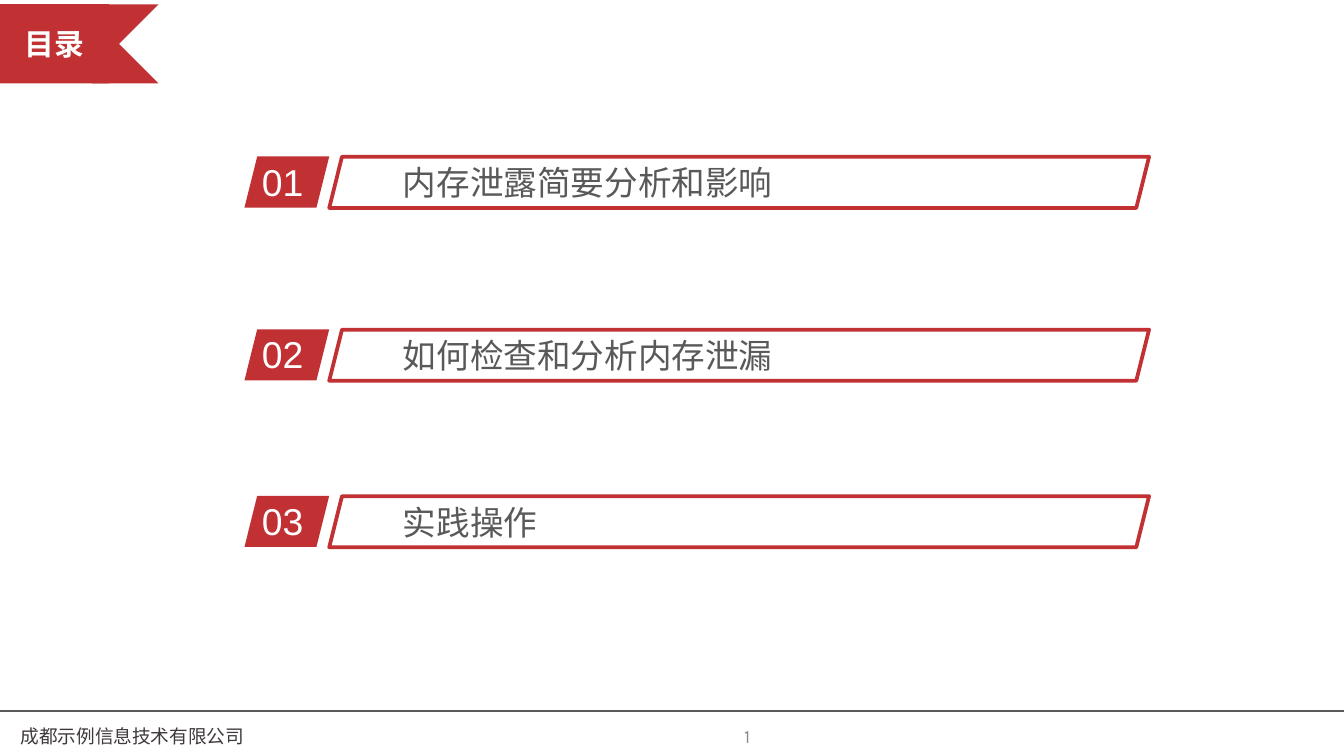
import dataclasses

import lxml.etree
import pptx
import pptx.dml.color
import pptx.enum.shapes
import pptx.enum.text
import pptx.oxml.ns
import pptx.util

Pt = pptx.util.Pt
SHAPE = pptx.enum.shapes.MSO_SHAPE
ALIGN = pptx.enum.text.PP_ALIGN
ANCHOR = pptx.enum.text.MSO_ANCHOR
qn = pptx.oxml.ns.qn


@dataclasses.dataclass(frozen=True)
class Theme:
    red: str = "C13133"
    white: str = "FFFFFF"
    text: str = "595959"
    footer: str = "3E3A39"
    page: str = "8C8C8C"
    rule: str = "595959"
    title_size: float = 16
    item_size: float = 18
    number_size: float = 20
    footer_size: float = 10
    heading_font: str = "Arial"
    body_font: str = "Karla"


class SlideBuilder:
    def __init__(self, slide, theme):
        self.slide = slide
        self.theme = theme

    def color(self, value):
        return pptx.dml.color.RGBColor.from_string(value)

    def shape(self, kind, box, fill, line=None, opacity=None):
        sp = self.slide.shapes.add_shape(kind, *map(Pt, box))
        sp.shadow.inherit = False
        sp.fill.solid()
        sp.fill.fore_color.rgb = self.color(fill)
        if opacity is not None:
            clr = sp._element.spPr.find(qn("a:solidFill"))[0]
            lxml.etree.SubElement(clr, qn("a:alpha")).set("val", str(opacity * 1000))
        if line:
            sp.line.color.rgb = self.color(line)
            sp.line.width = Pt(2)
        else:
            sp.line.fill.background()
        return sp

    def set_text(self, sp, text, size, color, font, align=ALIGN.LEFT,
                 anchor=ANCHOR.MIDDLE, margins=(7.2, 3.6), bold=False, before=0):
        tf = sp.text_frame
        tf.word_wrap = True
        tf.vertical_anchor = anchor
        tf.margin_left = tf.margin_right = Pt(margins[0])
        tf.margin_top = tf.margin_bottom = Pt(margins[1])
        p = tf.paragraphs[0]
        p.text = text
        p.alignment = align
        p.space_before = Pt(before)
        p.font.size = Pt(size)
        p.font.name = font
        p.font.bold = bold
        p.font.color.rgb = self.color(color)

    def text(self, box, text, size, color, font, **style):
        sp = self.slide.shapes.add_textbox(*map(Pt, box))
        self.set_text(sp, text, size, color, font, **style)

    def rule(self, x1, y1, x2, y2):
        line = self.slide.shapes.add_connector(
            pptx.enum.shapes.MSO_CONNECTOR.STRAIGHT, Pt(x1), Pt(y1), Pt(x2), Pt(y2))
        line.line.color.rgb = self.color(self.theme.rule)
        line.line.width = Pt(0.75)
        lxml.etree.SubElement(line._element.spPr, qn("a:effectLst"))

    def banner(self, title):
        t = self.theme
        tail = self.shape(SHAPE.CHEVRON, (28.2, 2.3, 56.8, 42.4), t.red)
        tail.rotation = 180
        sp = self.shape(SHAPE.RECTANGLE, (0, 2.3, 58.4, 42.4), t.red)
        self.set_text(sp, title, t.title_size, t.white, t.heading_font,
                      align=ALIGN.CENTER, margins=(7.2, 11.5), bold=True)

    def agenda_item(self, top, number, title):
        t = self.theme
        sp = self.shape(SHAPE.PARALLELOGRAM, (176.4, top, 439.2, 27.4),
                        t.white, line=t.red, opacity=70)
        self.set_text(sp, title, t.item_size, t.text, t.body_font, margins=(0, 3.6))
        self.shape(SHAPE.PARALLELOGRAM, (131, top - 0.2, 45.4, 27.4), t.red)
        self.text((133.2, top - 2.5, 62.6, 25.2), number, t.number_size, t.white,
                  t.heading_font, anchor=ANCHOR.TOP, before=3)

    def footer(self, company, page):
        t = self.theme
        self.rule(0, 381, 720, 381)
        self.text((-59.8, 383.8, 261.4, 21.6), company, t.footer_size, t.footer,
                  t.body_font, align=ALIGN.CENTER)
        self.text((241.2, 383.8, 167.8, 21.6), page, t.footer_size, t.page,
                  t.body_font, align=ALIGN.RIGHT)


def main():
    prs = pptx.Presentation()
    prs.slide_width, prs.slide_height = Pt(720), Pt(405)
    s = SlideBuilder(prs.slides.add_slide(prs.slide_layouts[6]), Theme())
    s.banner("目录")
    s.footer("成都示例信息技术有限公司", "1")
    items = [
        (84, "内存泄露简要分析和影响"),
        (176.6, "如何检查和分析内存泄漏"),
        (265.8, "实践操作"),
    ]
    for i, (top, title) in enumerate(items, 1):
        s.agenda_item(top, f"{i:02}", title)
    prs.save("out.pptx")


if __name__ == "__main__":
    main()
